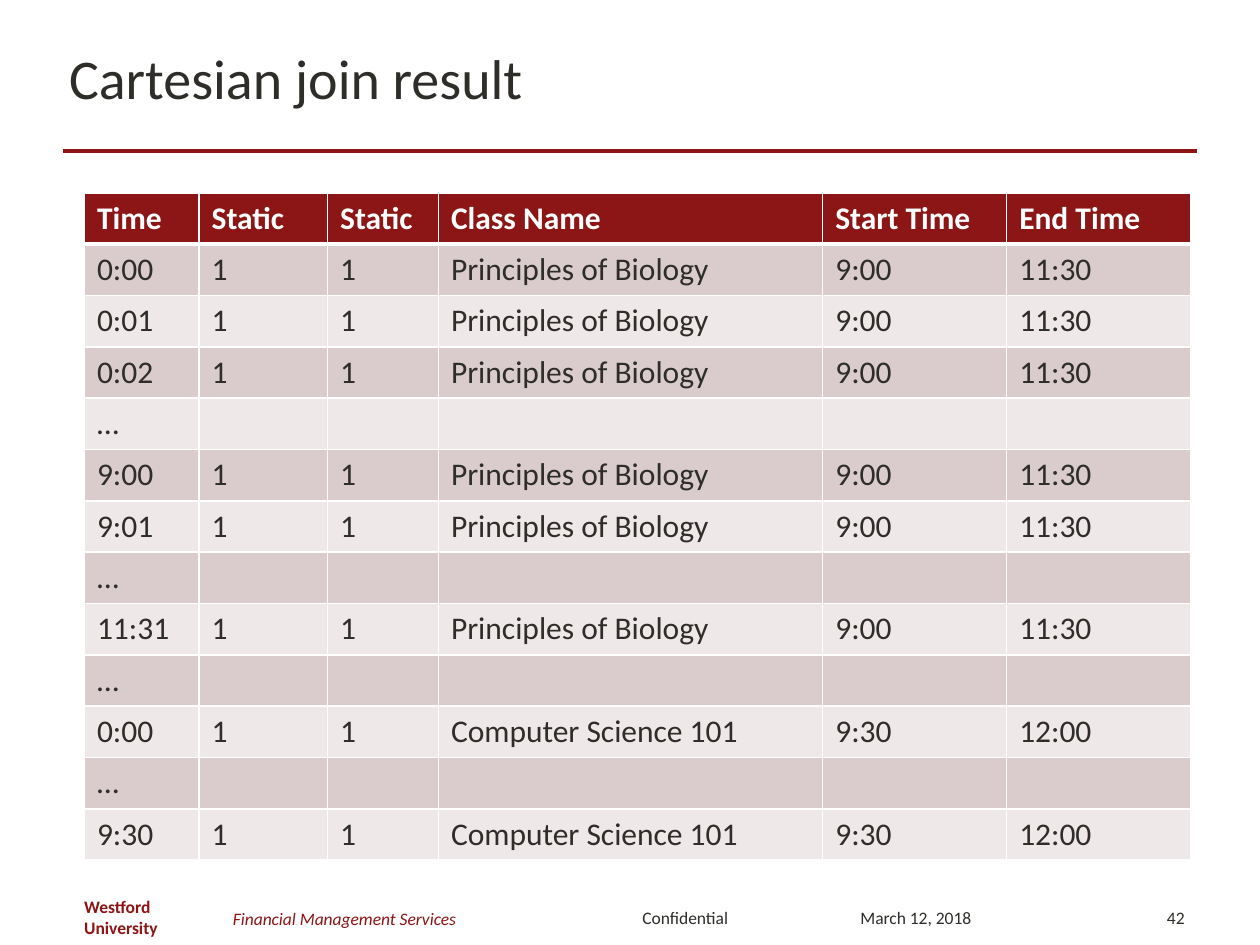
from lxml import etree
from pptx import Presentation
from pptx.dml.color import RGBColor
from pptx.enum.shapes import MSO_CONNECTOR
from pptx.enum.text import MSO_ANCHOR, PP_ALIGN
from pptx.oxml.ns import qn
from pptx.util import Inches, Pt

STRAIGHT = MSO_CONNECTOR.STRAIGHT
MIDDLE = MSO_ANCHOR.MIDDLE
LEFT, RIGHT = PP_ALIGN.LEFT, PP_ALIGN.RIGHT
CARDINAL = RGBColor(0x8C, 0x15, 0x15)
INK = RGBColor(0x2E, 0x2D, 0x29)
WHITE = RGBColor(0xFF, 0xFF, 0xFF)
BAND_DARK = RGBColor(0xDA, 0xCC, 0xCC)
BAND_LIGHT = RGBColor(0xEE, 0xE8, 0xE8)

BIOLOGY = ["1", "1", "Principles of Biology", "9:00", "11:30"]
COMPUTING = ["1", "1", "Computer Science 101", "9:30", "12:00"]
GAP = ["…"] + [""] * 5
COLUMNS = [0.91, 1.02, 0.88, 3.05, 1.46, 1.46]
ROWS = [
    ["Time", "Static", "Static", "Class Name", "Start Time", "End Time"],
    ["0:00"] + BIOLOGY,
    ["0:01"] + BIOLOGY,
    ["0:02"] + BIOLOGY,
    GAP,
    ["9:00"] + BIOLOGY,
    ["9:01"] + BIOLOGY,
    GAP,
    ["11:31"] + BIOLOGY,
    GAP,
    ["0:00"] + COMPUTING,
    GAP,
    ["9:30"] + COMPUTING,
]


def write(tf, text, size=10, color=INK, bold=False, italic=False, align=LEFT, font="Calibri"):
    """Put one formatted run of text into a text frame."""
    p = tf.paragraphs[0]
    p.alignment = align
    r = p.add_run()
    r.text = text
    r.font.name, r.font.size = font, Pt(size)
    r.font.bold, r.font.italic = bold, italic
    r.font.color.rgb = color


class SlideBuilder:
    """Hold the table style and the current slide."""

    header_fill = CARDINAL
    bands = (BAND_LIGHT, BAND_DARK)
    table_size = 18

    def __init__(self, s):
        self.s = s

    def text(self, text, x, y, w, h, wrap=True, **style):
        tf = self.s.shapes.add_textbox(Inches(x), Inches(y), Inches(w), Inches(h)).text_frame
        tf.word_wrap = wrap
        tf.vertical_anchor = MIDDLE
        write(tf, text, **style)

    def rule(self, x1, y1, x2, y2, color=CARDINAL, width=2.25):
        line = self.s.shapes.add_connector(
            STRAIGHT, Inches(x1), Inches(y1), Inches(x2), Inches(y2))
        line.line.color.rgb = color
        line.line.width = Pt(width)
        etree.SubElement(line._element.spPr, qn("a:effectLst"))

    def borders(self, cell, top, bottom):
        tc_pr = cell._tc.get_or_add_tcPr()
        for side, width in (("L", 1), ("R", 1), ("T", top), ("B", bottom)):
            ln = etree.SubElement(tc_pr, qn(f"a:ln{side}"), w=str(Pt(width)))
            fill = etree.SubElement(ln, qn("a:solidFill"))
            etree.SubElement(fill, qn("a:srgbClr"), val=str(WHITE))

    def table(self, rows, columns, x, y, height):
        table = self.s.shapes.add_table(
            len(rows), len(columns), Inches(x), Inches(y),
            Inches(sum(columns)), Inches(height)).table
        for column, width in zip(table.columns, columns):
            column.width = Inches(width)
        for i, row in enumerate(rows):
            header = i == 0
            for j, text in enumerate(row):
                cell = table.cell(i, j)
                self.borders(cell, top=3 if i == 1 else 1, bottom=3 if header else 1)
                cell.fill.solid()
                cell.fill.fore_color.rgb = self.header_fill if header else self.bands[i % 2]
                if text:
                    write(cell.text_frame, text, size=self.table_size,
                          color=WHITE if header else INK, bold=header)


def main():
    prs = Presentation()
    prs.slide_width, prs.slide_height = Inches(10), Inches(7.5)
    slide = SlideBuilder(prs.slides.add_slide(prs.slide_layouts[6]))
    slide.rule(0.5, 1.2, 9.5, 1.2)
    slide.text("Confidential", 5, 7.08, 1.02, 0.4)
    slide.text("Westford University", 0.57, 7.14, 1.33, 0.27, wrap=False,
               color=CARDINAL, bold=True)
    slide.text("Cartesian join result", 0.45, 0.18, 9, 0.87, size=32)
    slide.text("March 12, 2018", 6.73, 7.08, 1.38, 0.4)
    slide.text("42", 8.83, 7.08, 0.67, 0.4, align=RIGHT)
    slide.text("Financial Management Services", 1.75, 7.09, 3.17, 0.4,
               color=CARDINAL, italic=True)
    slide.table(ROWS, COLUMNS, 0.67, 1.53, 5.3)
    prs.save("out.pptx")


if __name__ == "__main__":
    main()
